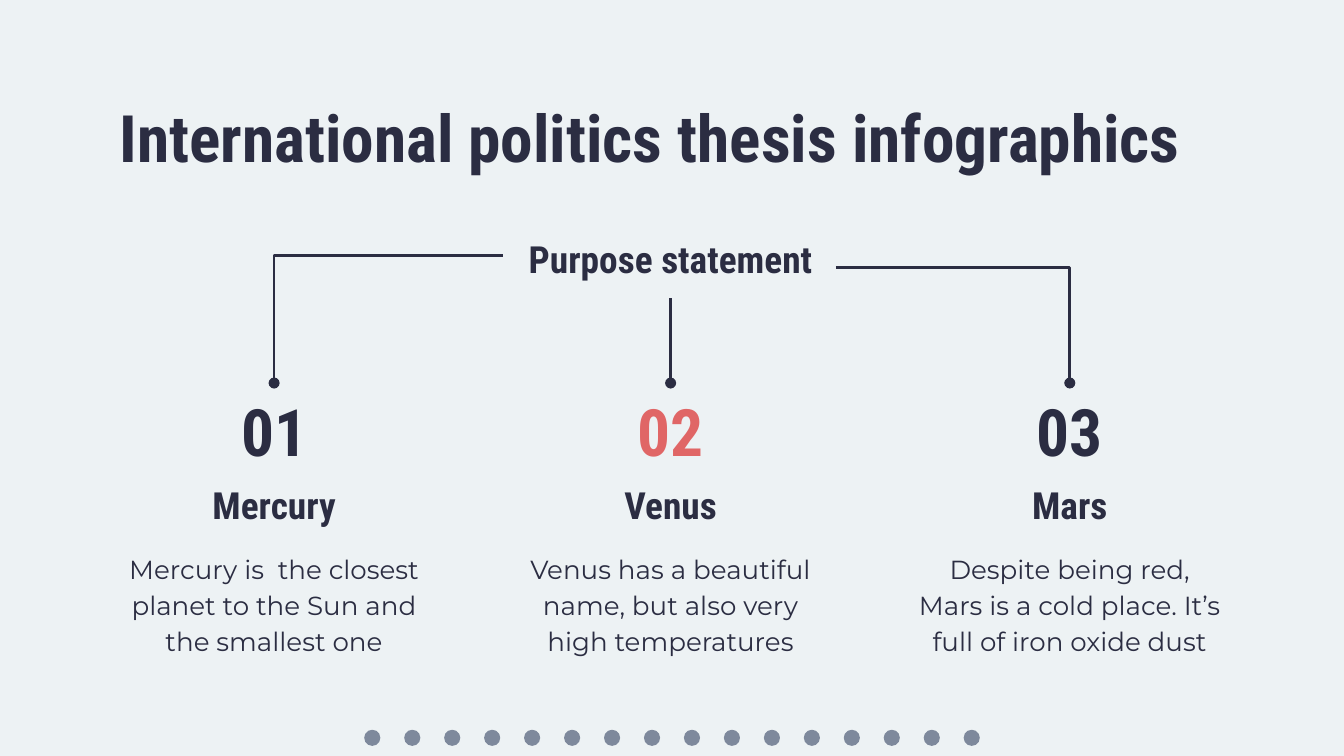
from pptx import Presentation
from pptx.dml.color import RGBColor
from pptx.enum import shapes, text
from pptx.oxml.ns import qn
from pptx.util import Inches, Pt
from lxml import etree

COLORS = {"bg": "EDF2F4", "ink": "2B2D42", "accent": "E06666", "dot": "7E899C"}
HEAD, BODY = "Roboto Condensed", "Montserrat"
COL_W = 2.5
TOPICS = [
    (0.79, "01", "Mercury", "Mercury is  the closest planet to the Sun and the smallest one", "ink"),
    (3.74, "02", "Venus", "Venus has a beautiful name, but also very high temperatures", "accent"),
    (6.71, "03", "Mars", "Despite being red, Mars is a cold place. It’s full of iron oxide dust", "ink"),
]


def rgb(name):
    return RGBColor.from_string(COLORS[name])


def add_text(s, box, words, size, font=HEAD, color="ink", align="CENTER",
             anchor="MIDDLE", insets=(0, 0.05, 0, 0), spacing=None):
    tf = s.shapes.add_textbox(*map(Inches, box)).text_frame
    tf.word_wrap = True
    tf.vertical_anchor = getattr(text.MSO_ANCHOR, anchor)
    tf.margin_left, tf.margin_top, tf.margin_right, tf.margin_bottom = map(Inches, insets)
    p = tf.paragraphs[0]
    p.text = words
    p.alignment = getattr(text.PP_ALIGN, align)
    if spacing:
        p.line_spacing = spacing
    p.font.name, p.font.size, p.font.bold = font, Pt(size), font == HEAD
    p.font.color.rgb = rgb(color)


def add_dots(s, left, top, width, count=16, size=0.12):
    pitch = (width - size) / (count - 1)
    for i in range(count):
        dot = s.shapes.add_shape(shapes.MSO_SHAPE.OVAL, Inches(left + i * pitch),
                                 Inches(top), Inches(size), Inches(size))
        dot.shadow.inherit = False
        dot.fill.solid()
        dot.fill.fore_color.rgb = rgb("dot")
        dot.line.fill.background()


def add_topic(s, left, top, number, name, description, color):
    add_text(s, (left, top, COL_W, 0.66), number, 35, color=color)
    add_text(s, (left, top + 0.63, COL_W, 0.5), name, 20)
    add_text(s, (left, top + 1.13, COL_W, 0.9), description, 14, BODY,
             anchor="TOP", insets=(0.1,) * 4, spacing=1.15)


def add_branch(s, start, end):
    """Line with a round end; it runs across, then down, unless it is vertical."""
    straight = start[0] == end[0]
    kind = shapes.MSO_CONNECTOR.STRAIGHT if straight else shapes.MSO_CONNECTOR.ELBOW
    line = s.shapes.add_connector(kind, *map(Inches, start + end))
    line.line.color.rgb = rgb("ink")
    line.line.width = Pt(1.5)
    sp_pr = line._element.spPr
    if not straight:
        sp_pr.find(qn("a:prstGeom")).set("prst", "bentConnector2")
    etree.SubElement(sp_pr.find(qn("a:ln")), qn("a:tailEnd"), type="oval")
    etree.SubElement(sp_pr, qn("a:effectLst"))


def add_tree(s, top):
    """Purpose statement, its three branches and the topics below them."""
    topics_top = top + 1.26
    mid = TOPICS[1][0]
    add_text(s, (mid, top, COL_W, 0.62), "Purpose statement", 20)
    for topic in TOPICS:
        add_topic(s, topic[0], topics_top, *topic[1:])
    starts = [(mid, top + 0.31), (mid + COL_W / 2, top + 0.63), (6.22, top + 0.4)]
    for start, topic in zip(starts, TOPICS):
        add_branch(s, start, (topic[0] + COL_W / 2, topics_top))


def main():
    prs = Presentation()
    prs.slide_width = Inches(10)
    prs.slide_height = prs.slide_width * 9 // 16
    s = prs.slides.add_slide(prs.slide_layouts[6])
    s.background.fill.solid()
    s.background.fill.fore_color.rgb = rgb("bg")
    add_dots(s, 2.71, 5.43, 4.58)
    add_text(s, (0.79, 0.62, 8.42, 0.62), "International politics thesis infographics",
             35, align="LEFT", anchor="TOP", insets=(0.1,) * 4)
    add_tree(s, 1.59)
    prs.save("out.pptx")


if __name__ == "__main__":
    main()
